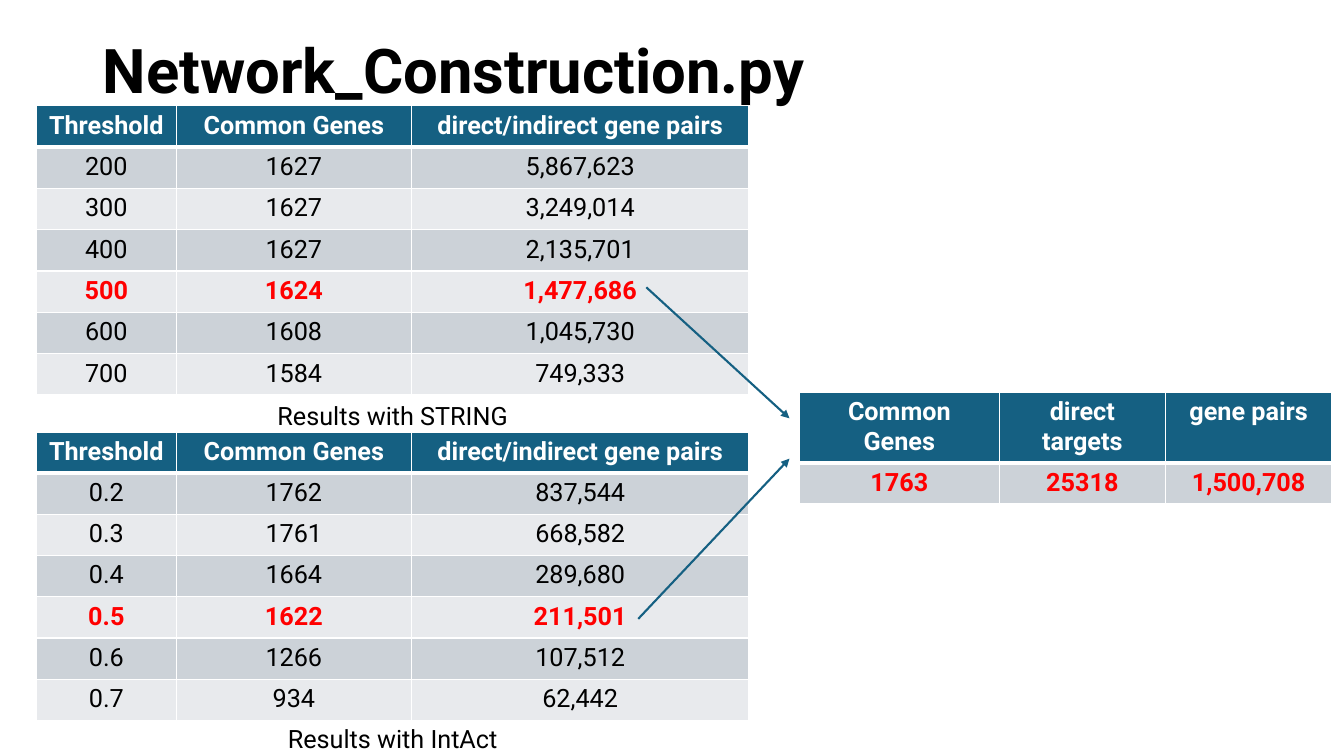
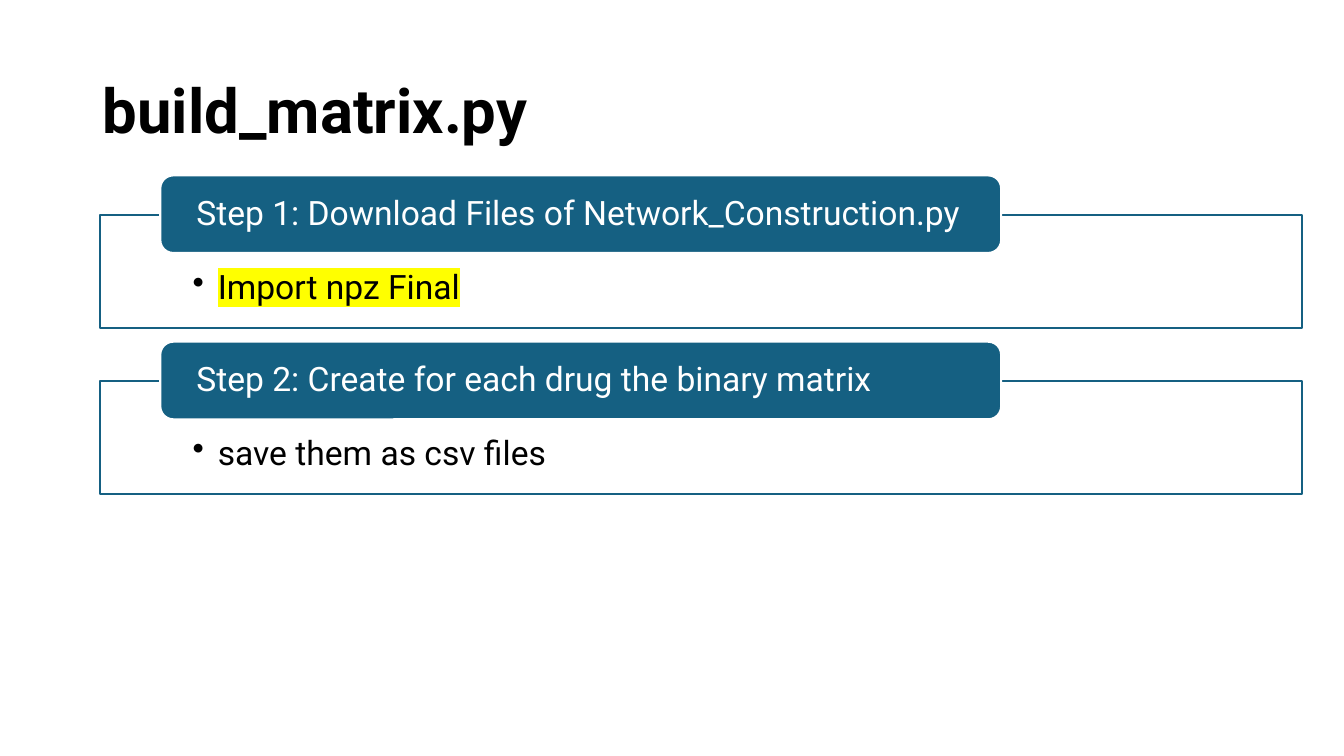
import dataclasses
import pptx
import pptx.dml.color
import pptx.enum.shapes
import pptx.enum.text
import pptx.oxml
import pptx.oxml.ns
import pptx.presentation
import pptx.shapes.autoshape
import pptx.slide
import pptx.text.text
import pptx.util

# Shared style
PX = 9144  # one px is a hundredth of an inch
FONT = "Roboto"
BLUE, WHITE, BLACK, RED = "156082", "FFFFFF", "000000", "FF0000"
DARK, LIGHT, YELLOW = "CCD2D8", "E8EAED", "FFFF00"
ALIGN = pptx.enum.text.PP_ALIGN
ANCHOR = pptx.enum.text.MSO_ANCHOR
SHAPE = pptx.enum.shapes.MSO_SHAPE
qn = pptx.oxml.ns.qn


@dataclasses.dataclass(frozen=True)
class Grid:
    left: int
    top: int
    cols: list[int]
    head: int  # height of the header row
    rows: list[list[str]]
    red: int  # index of the row in red
    note: str = ""


@dataclasses.dataclass(frozen=True)
class Step:
    title: str
    point: str
    mark: str = ""


ROW, NOTE = 41, 40
COLS = [139, 233, 335]
HEADS = ["Threshold", "Common Genes", "direct/indirect gene pairs"]
GRIDS = [
    Grid(36, 105, COLS, 41, [
        HEADS,
        ["200", "1627", "5,867,623"],
        ["300", "1627", "3,249,014"],
        ["400", "1627", "2,135,701"],
        ["500", "1624", "1,477,686"],
        ["600", "1608", "1,045,730"],
        ["700", "1584", "749,333"],
    ], 4, "Results with STRING"),
    Grid(36, 429, COLS, 38, [
        HEADS,
        ["0.2", "1762", "837,544"],
        ["0.3", "1761", "668,582"],
        ["0.4", "1664", "289,680"],
        ["0.5", "1622", "211,501"],
        ["0.6", "1266", "107,512"],
        ["0.7", "934", "62,442"],
    ], 4, "Results with IntAct"),
    Grid(793, 389, [198, 165, 165], 70, [
        ["Common Genes", "direct targets", "gene pairs"],
        ["1763", "25318", "1,500,708"],
    ], 1),
]
ARROWS = [(641, 285, 783, 415), (633, 614, 783, 455)]
STEPS = [
    Step("Step 1: Download Files of Network_Construction.py",
         "Import npz Final", YELLOW),
    Step("Step 2: Create for each drug the binary matrix",
         "save them as csv files"),
]


def px(*nums: int) -> list[pptx.util.Emu]:
    return [pptx.util.Emu(num * PX) for num in nums]


def rgb(code: str) -> pptx.dml.color.RGBColor:
    return pptx.dml.color.RGBColor.from_string(code)


def node(xml: str):
    """Parse one drawing element whose first tag is left open for its namespace."""
    return pptx.oxml.parse_xml(xml.format(ns=pptx.oxml.ns.nsdecls("a")))


def write(frame: pptx.text.text.TextFrame, text: str, size: int, color: str,
          bold: bool = False, align: ALIGN = ALIGN.LEFT,
          space: float = 1.0) -> pptx.text.text._Paragraph:
    frame.text = text
    para = frame.paragraphs[0]
    para.alignment = align
    para.line_spacing = space
    font = para.runs[0].font
    font.name, font.size, font.bold = FONT, pptx.util.Pt(size), bold
    font.color.rgb = rgb(color)
    return para


def inset(frame: pptx.text.text.TextFrame, left: int, top: int,
          right: int, base: int) -> None:
    (frame.margin_left, frame.margin_top,
     frame.margin_right, frame.margin_bottom) = px(left, top, right, base)


def start(deck: pptx.presentation.Presentation, text: str,
          top: int) -> pptx.slide.Slide:
    """Add a slide with its title."""
    slide = deck.slides.add_slide(deck.slide_layouts[5])
    title = slide.shapes.title
    title.left, title.top, title.width, title.height = px(92, top, 1150, 145)
    frame = title.text_frame
    frame.word_wrap = True
    frame.auto_size = pptx.enum.text.MSO_AUTO_SIZE.NONE
    frame.vertical_anchor = ANCHOR.MIDDLE
    write(frame, text, 44, BLACK, True, space=0.9)
    return slide


def add_edge(tc, row: int) -> None:
    """Draw white cell borders, thick beneath the header row."""
    wide = {"B": row == 0, "T": row == 1}
    for side in "LRTB":
        size = pptx.util.Pt(3 if wide.get(side) else 1)
        tc.get_or_add_tcPr().append(node(
            f'<a:ln{side} {{ns}} w="{size}"><a:solidFill>'
            f'<a:srgbClr val="{WHITE}"/></a:solidFill></a:ln{side}>'))


def add_grid(slide: pptx.slide.Slide, grid: Grid) -> None:
    wide = sum(grid.cols)
    high = grid.head + ROW * (len(grid.rows) - 1)
    shape = slide.shapes.add_table(len(grid.rows), len(grid.cols),
                                   *px(grid.left, grid.top, wide, high))
    table = shape.table
    for col, size in zip(table.columns, px(*grid.cols)):
        col.width = size
    for num, line in enumerate(table.rows):
        line.height = px(ROW if num else grid.head)[0]
    cells = zip(table.iter_cells(), shape.element.iter(qn("a:tc")))
    for num, (cell, tc) in enumerate(cells):
        row, col = divmod(num, len(grid.cols))
        add_edge(tc, row)
        cell.fill.solid()
        cell.fill.fore_color.rgb = rgb(
            BLUE if row == 0 else DARK if row % 2 else LIGHT)
        color = WHITE if row == 0 else RED if row == grid.red else BLACK
        write(cell.text_frame, grid.rows[row][col], 18, color,
              color != BLACK, ALIGN.CENTER)
    if grid.note:
        box = slide.shapes.add_textbox(
            *px(grid.left, grid.top + high, wide, NOTE))
        box.text_frame.word_wrap = True
        write(box.text_frame, grid.note, 18, BLACK, align=ALIGN.CENTER)


def add_arrow(slide: pptx.slide.Slide, ends: tuple[int, int, int, int]) -> None:
    arrow = slide.shapes.add_connector(
        pptx.enum.shapes.MSO_CONNECTOR.STRAIGHT, *px(*ends))
    arrow.line.color.rgb = rgb(BLUE)
    arrow.line.width = pptx.util.Pt(1.5)
    props = arrow.element.spPr
    props.find(qn("a:ln")).append(node('<a:tailEnd {ns} type="triangle"/>'))
    props.append(node("<a:effectLst {ns}/>"))


def add_box(slide: pptx.slide.Slide, kind: SHAPE, area: tuple[int, int, int, int],
            fill: str, line: str) -> pptx.shapes.autoshape.Shape:
    box = slide.shapes.add_shape(kind, *px(*area))
    box.shadow.inherit = False
    box.fill.solid()
    box.fill.fore_color.rgb = rgb(fill)
    box.line.color.rgb = rgb(line)
    box.line.width = pptx.util.Pt(1.5)
    box.text_frame.word_wrap = True
    return box


def add_step(slide: pptx.slide.Slide, step: Step, top: int) -> None:
    # Frame with its bullet
    box = add_box(slide, SHAPE.RECTANGLE, (99, top + 39, 1192, 112), WHITE, BLUE)
    tint = box.element.spPr.find(qn("a:solidFill"))[0]
    tint.append(node('<a:alpha {ns} val="90000"/>'))
    frame = box.text_frame
    frame.vertical_anchor = ANCHOR.TOP
    inset(frame, 92, 55, 92, 19)
    para = write(frame, step.point, 24, BLACK, space=0.9)
    props = para._p.get_or_add_pPr()
    props.set("marL", str(25 * PX))
    props.set("indent", str(-25 * PX))
    props.append(node('<a:buChar {ns} char="•"/>'))
    if step.mark:
        ink = para.runs[0]._r.get_or_add_rPr().find(qn("a:solidFill"))
        ink.addnext(node(f'<a:highlight {{ns}}><a:srgbClr val="{step.mark}"/>'
                         '</a:highlight>'))
    # Tab with the step's title
    tab = add_box(slide, SHAPE.ROUNDED_RECTANGLE, (159, top, 834, 77), BLUE, WHITE)
    tab.text_frame.vertical_anchor = ANCHOR.MIDDLE
    inset(tab.text_frame, 32, 0, 32, 0)
    write(tab.text_frame, step.title, 24, WHITE, space=0.9)


def main() -> None:
    deck = pptx.Presentation()
    deck.slide_width, deck.slide_height = px(1333, 750)

    # Network tables
    slide = start(deck, "Network_Construction.py", 0)
    for grid in GRIDS:
        add_grid(slide, grid)
    for ends in ARROWS:
        add_arrow(slide, ends)

    # Matrix steps
    slide = start(deck, "build_matrix.py", 40)
    for num, step in enumerate(STEPS):
        add_step(slide, step, 174 + 165 * num)

    deck.save("out.pptx")


if __name__ == "__main__":
    main()
